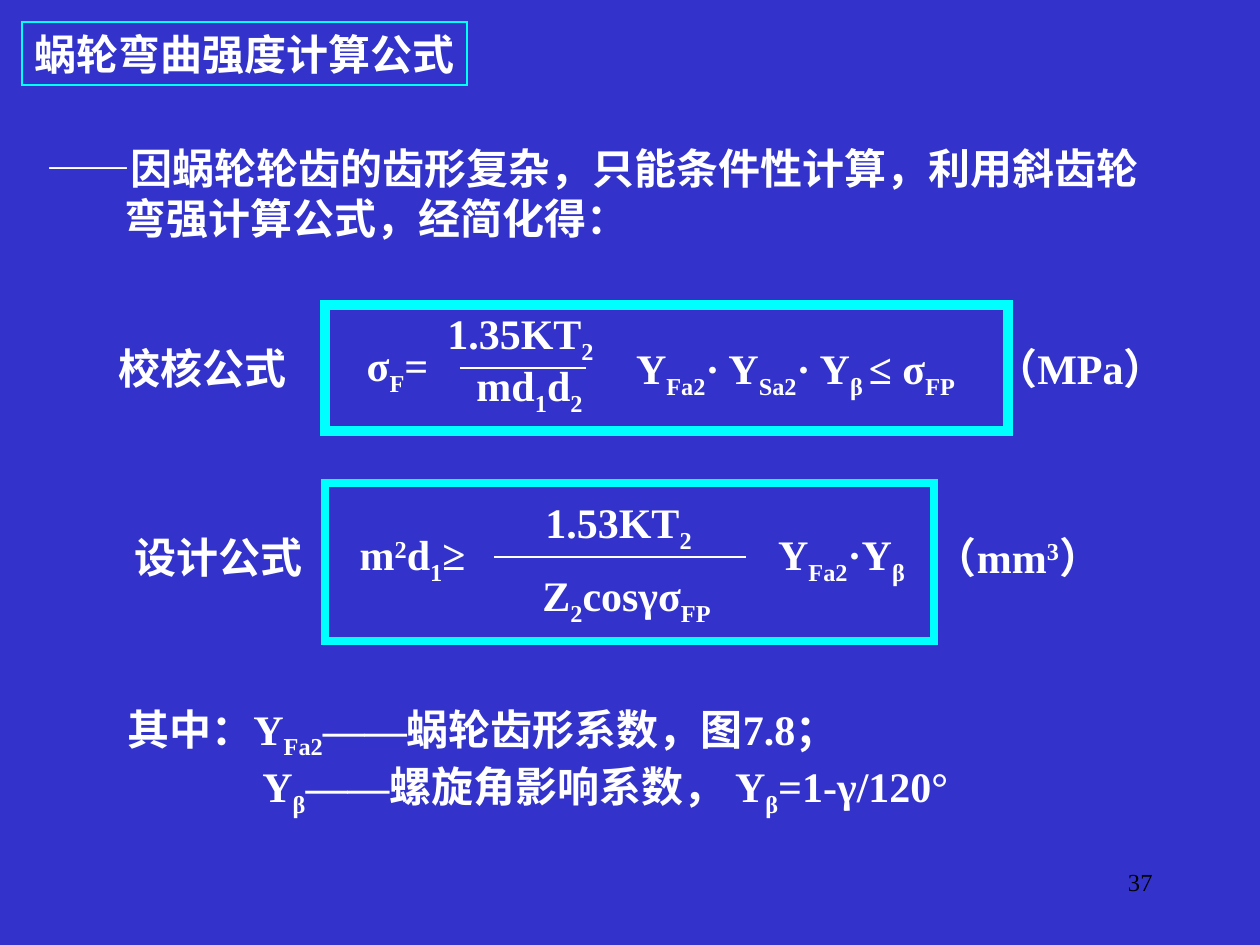
from lxml.etree import SubElement
from pptx import Presentation
from pptx.dml.color import RGBColor
from pptx.enum.lang import MSO_LANGUAGE_ID
from pptx.enum.shapes import MSO_CONNECTOR, MSO_SHAPE
from pptx.enum.text import MSO_ANCHOR, MSO_AUTO_SIZE, PP_ALIGN
from pptx.oxml.ns import qn
from pptx.util import Emu, Pt

SCALE = 914400 / 126
BLUE = RGBColor(0x33, 0x33, 0xCC)
CYAN = RGBColor(0x00, 0xFF, 0xFF)
WHITE = RGBColor(0xFF, 0xFF, 0xFF)
BLACK = RGBColor(0x00, 0x00, 0x00)
FONT = "Times New Roman"
SUBSCRIPT, SUPERSCRIPT = -25000, 30000


def px(length):
    return Emu(round(length * SCALE))


def place(origin, offset):
    left, top, width, height = offset
    return origin[0] + left, origin[1] + top, width, height


def add_span(para, text, size, color, bold, baseline):
    span = para.add_run()
    span.text = text
    span.font.name = FONT
    span.font.size = Pt(size)
    span.font.bold = bold
    span.font.color.rgb = color
    span.font.language_id = MSO_LANGUAGE_ID.SIMPLIFIED_CHINESE
    if baseline:
        span.font._element.set("baseline", str(baseline))


def write_text(shape, text, size=24, color=WHITE, bold=True, align=PP_ALIGN.CENTER,
               anchor=MSO_ANCHOR.MIDDLE, wrap=False, grow=True, before=0, indents=(0,)):
    frame = shape.text_frame
    frame.word_wrap = wrap
    frame.auto_size = MSO_AUTO_SIZE.SHAPE_TO_FIT_TEXT if grow else MSO_AUTO_SIZE.NONE
    frame.vertical_anchor = anchor
    if align == PP_ALIGN.CENTER:
        frame.margin_left = frame.margin_right = 0
    for index, (line, indent) in enumerate(zip(text.split("\n"), indents)):
        para = frame.add_paragraph() if index else frame.paragraphs[0]
        para.alignment = align
        para.space_before = Pt(before)
        if indent:
            para._p.get_or_add_pPr().set("marL", str(px(indent)))
        for i, part in enumerate(line.split("~")):
            for j, piece in enumerate(part.split("^")):
                if piece:
                    baseline = SUBSCRIPT if i % 2 else SUPERSCRIPT if j % 2 else 0
                    add_span(para, piece, size, color, bold, baseline)


def add_text(page, box, text, **style):
    write_text(page.shapes.add_textbox(*map(px, box)), text, **style)


def add_frame(page, box, weight):
    frame = page.shapes.add_shape(MSO_SHAPE.RECTANGLE, *map(px, box))
    frame.shadow.inherit = False
    frame.fill.background()
    frame.line.color.rgb = CYAN
    frame.line.width = Pt(weight)
    SubElement(frame._element.spPr.find(qn("a:ln")), qn("a:miter"), lim="800000")
    return frame


def add_fraction_bar(page, box):
    left, top, width, height = box
    bar = page.shapes.add_connector(
        MSO_CONNECTOR.STRAIGHT, px(left), px(top), px(left + width), px(top + height))
    bar.line.color.rgb = WHITE
    bar.line.width = Pt(0.75)
    SubElement(bar._element.spPr, qn("a:effectLst"))


def add_title(page, box):
    write_text(add_frame(page, box, 0.75), "蜗轮弯曲强度计算公式")


def add_formula(page, box, weight, bar, parts):
    for offset, text in parts:
        add_text(page, place(box, offset), text)
    add_fraction_bar(page, place(box, bar))
    add_frame(page, box, weight)


def add_introduction(page, box):
    add_text(page, box, "——因蜗轮轮齿的齿形复杂，只能条件性计算，利用斜齿轮\n弯强计算公式，经简化得：",
             align=PP_ALIGN.LEFT, wrap=True, indents=(0, 78))


def add_legend(page, box):
    add_text(page, box,
             "其中：Y~Fa2~——蜗轮齿形系数，图7.8；\nY~β~——螺旋角影响系数， Y~β~=1-γ/120°",
             align=PP_ALIGN.LEFT, wrap=True, indents=(0, 135))


def add_page_number(page, box):
    add_text(page, box, "37", size=14, color=BLACK, bold=False, align=PP_ALIGN.RIGHT,
             anchor=MSO_ANCHOR.TOP, wrap=True, grow=False, before=8.8)


CHECK_PARTS = [
    ((-219, 31, 193, 63), "校核公式"),
    ((29, 28, 87, 71), "σ~F~="),
    ((110, -4, 171, 71), "1.35KT~2~"),
    ((139, 48, 131, 71), "md~1~d~2~"),
    ((297, 31, 347, 71), "Y~Fa2~· Y~Sa2~· Y~β ~≤ σ~FP~"),
    ((648, 31, 215, 63), "（MPa）"),
]
DESIGN_PARTS = [
    ((-203, 42, 193, 63), "设计公式"),
    ((22, 39, 131, 71), "m^2^d~1~≥"),
    ((208, 7, 171, 71), "1.53KT~2~"),
    ((205, 80, 193, 71), "Z~2~cosγσ~FP~"),
    ((441, 39, 151, 71), "Y~Fa2~·Y~β~"),
    ((587, 42, 212, 63), "（mm^3^）"),
]


def main():
    deck = Presentation()
    deck.slide_width, deck.slide_height = px(1260), px(945)
    page = deck.slides.add_slide(deck.slide_layouts[6])
    page.background.fill.solid()
    page.background.fill.fore_color.rgb = BLUE
    add_page_number(page, (903, 861, 262, 63))
    add_title(page, (22, 22, 445, 63))
    add_introduction(page, (34, 136, 1150, 113))
    add_formula(page, (325, 305, 683, 126), 6, (135, 63, 126, 0), CHECK_PARTS)
    add_formula(page, (325, 483, 609, 158), 4.5, (169, 74, 252, 0), DESIGN_PARTS)
    add_legend(page, (115, 697, 1051, 127))
    deck.save("out.pptx")


if __name__ == "__main__":
    main()
